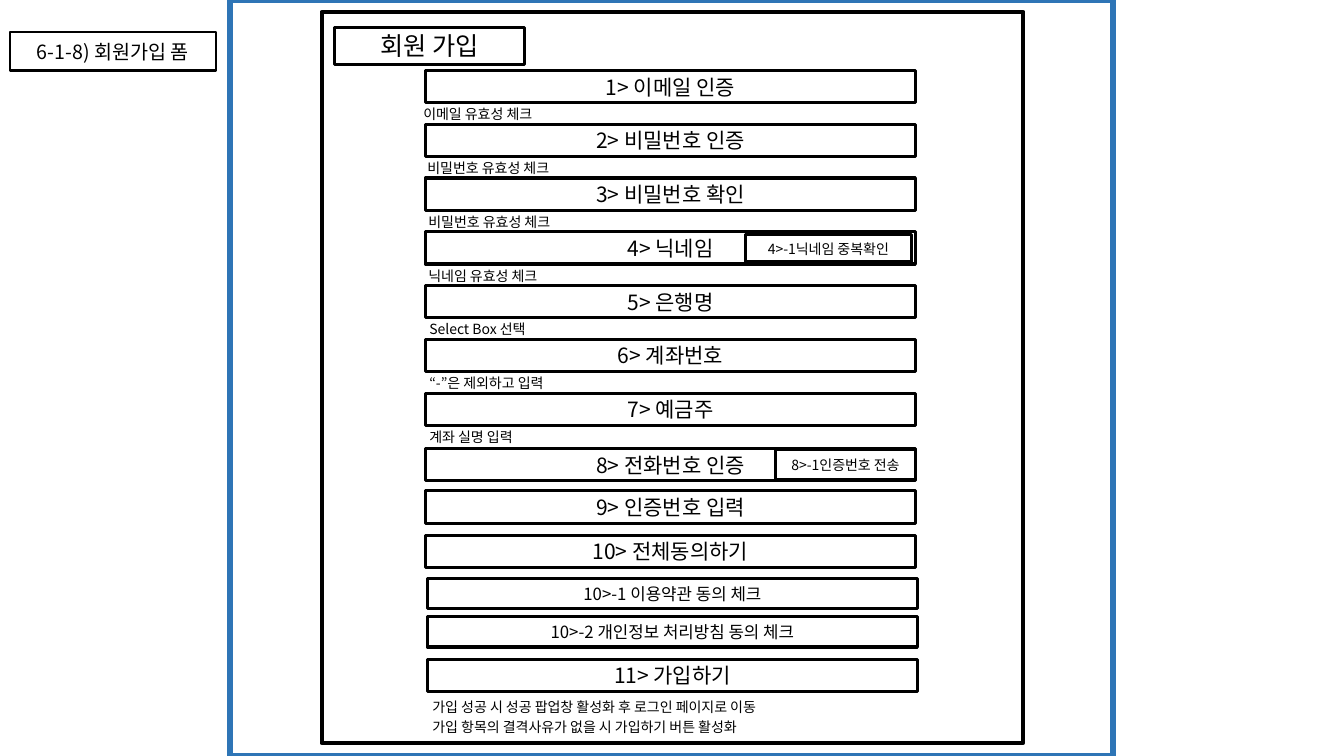
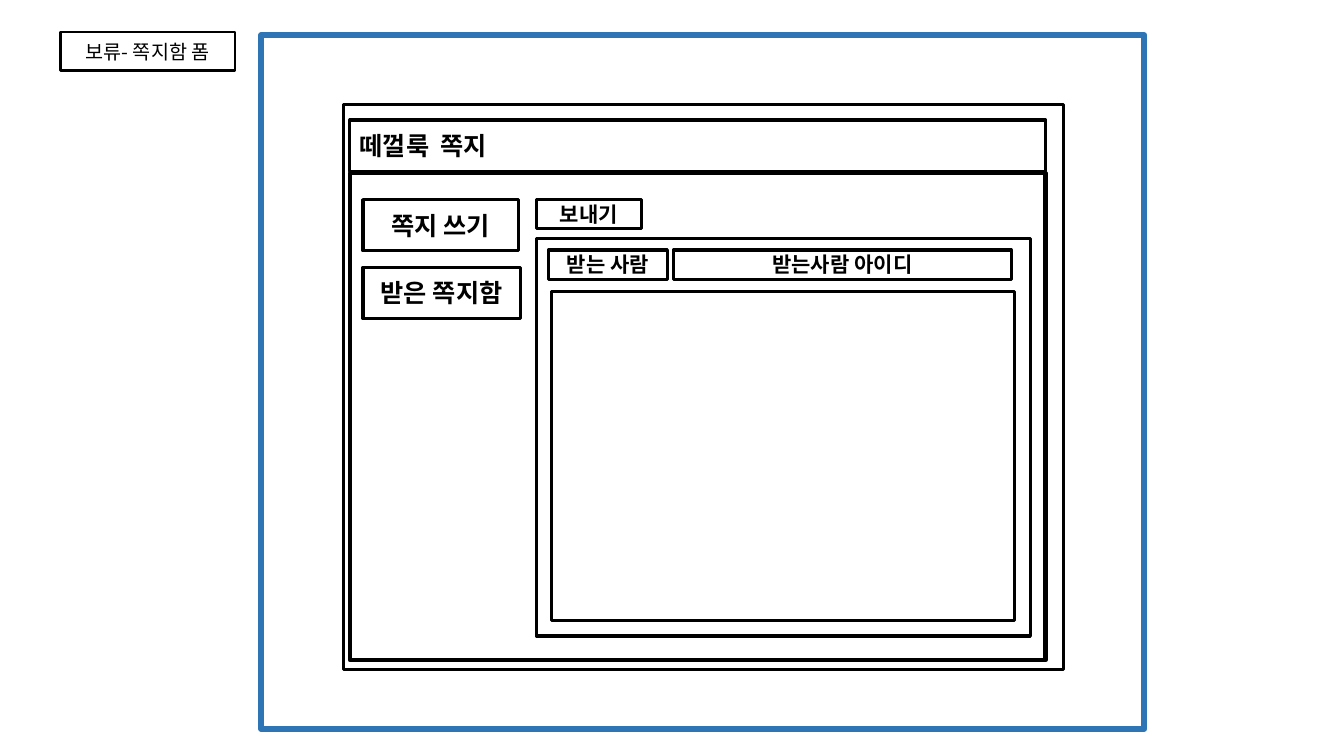
from lxml.etree import SubElement
from pptx import Presentation
from pptx.dml.color import RGBColor
from pptx.enum.shapes import MSO_SHAPE
from pptx.enum.text import MSO_ANCHOR, MSO_AUTO_SIZE, PP_ALIGN
from pptx.oxml.ns import qn
from pptx.util import Inches, Pt

FONT = "Noto Sans CJK KR"
BLACK, WHITE, BLUE = "000000", "FFFFFF", "2E75B6"

# Sign-up form: fields followed by a hint, spread evenly from FIRST_TOP to LAST_TOP
FIELD_LEFT, FIELD_WIDTH, FIELD_HEIGHT = 4.22, 4.86, 0.32
FIRST_TOP, LAST_TOP = 0.7, 3.9
HINT_OFFSET, HINT_HEIGHT = 0.3, 0.27
HINTED_FIELDS = [
    # label, hint, hint left, hint width
    ("1> 이메일 인증", "이메일 유효성 체크", 4.1, 1.5),
    ("2> 비밀번호 인증", "비밀번호 유효성 체크", 4.14, 1.65),
    ("3> 비밀번호 확인", "비밀번호 유효성 체크", 4.15, 1.65),
    ("4> 닉네임", "닉네임 유효성 체크", 4.15, 1.65),
    ("5> 은행명", "Select Box 선택", 4.16, 1.24),
    ("6> 계좌번호", "“-”은 제외하고 입력", 4.16, 1.56),
    ("7> 예금주", "계좌 실명 입력", 4.16, 1.19),
]
PLAIN_FIELDS = [
    # label, left, top, height, text size
    ("8> 전화번호 인증", 4.22, 4.45, 0.32, 15),
    ("9> 인증번호 입력", 4.22, 4.87, 0.32, 15),
    ("10> 전체동의하기", 4.22, 5.31, 0.32, 15),
    ("10>-1 이용약관 동의 체크", 4.24, 5.74, 0.3, 12),
    ("10>-2 개인정보 처리방침 동의 체크", 4.24, 6.12, 0.3, 12),
    ("11> 가입하기", 4.24, 6.54, 0.32, 15),
]
FIELD_BUTTONS = [
    ("4>-1닉네임 중복확인", (7.39, 2.33, 1.65, 0.27)),
    ("8>-1인증번호 전송", (7.69, 4.46, 1.39, 0.3)),
]
SIGN_UP_NOTES = [
    "가입 성공 시 성공 팝업창 활성화 후 로그인 페이지로 이동",
    "가입 항목의 결격사유가 없을 시 가입하기 버튼 활성화",
]
NOTE_LEFT, NOTE_TOP, NOTE_PITCH, NOTE_WIDTH = 4.19, 6.88, 0.2, 4.92

# Message box: label, (left, top, width, height), text size, line width, alignment
MESSAGE_PANELS = [
    ("", (3.41, 1.04, 7.14, 5.6), 18, 2.25, PP_ALIGN.CENTER),
    ("떼껄룩  쪽지", (3.47, 1.19, 6.9, 0.51), 18, 2.25, PP_ALIGN.LEFT),
    ("", (3.47, 1.72, 6.9, 4.83), 18, 3, PP_ALIGN.CENTER),
    ("쪽지 쓰기", (3.6, 1.98, 1.54, 0.51), 18, 2.25, PP_ALIGN.CENTER),
    ("받은 쪽지함", (3.6, 2.65, 1.56, 0.51), 18, 2.25, PP_ALIGN.CENTER),
    ("", (5.32, 2.37, 4.9, 3.94), 18, 2.25, PP_ALIGN.CENTER),
    ("보내기", (5.32, 1.98, 1.04, 0.29), 15, 2.25, PP_ALIGN.CENTER),
    ("받는 사람", (5.44, 2.48, 1.18, 0.29), 15, 2.25, PP_ALIGN.CENTER),
    ("받는사람 아이디", (6.68, 2.48, 3.35, 0.29), 15, 2.25, PP_ALIGN.CENTER),
    ("", (5.47, 2.89, 4.59, 3.27), 15, 2.25, PP_ALIGN.CENTER),
]


def color(value):
    return RGBColor.from_string(value)


def write(shape, text, size, align, bold=False):
    shape.text_frame.word_wrap = True
    paragraph = shape.text_frame.paragraphs[0]
    paragraph.alignment = align
    run = paragraph.add_run()
    run.text = text
    run.font.size = Pt(size)
    run.font.bold = bold
    run.font.color.rgb = color(BLACK)
    run.font.name = FONT
    # Hangul takes the East Asian typeface
    SubElement(run.font._element, qn("a:ea"), typeface=FONT)


def add_box(slide, area, text="", size=15, line_width=2.25, line=BLACK,
            align=PP_ALIGN.CENTER, bold=False):
    shape = slide.shapes.add_shape(MSO_SHAPE.RECTANGLE, *map(Inches, area))
    shape.shadow.inherit = False
    shape.fill.solid()
    shape.fill.fore_color.rgb = color(WHITE)
    shape.line.color.rgb = color(line)
    shape.line.width = Pt(line_width)
    shape.text_frame.vertical_anchor = MSO_ANCHOR.MIDDLE
    if text:
        write(shape, text, size, align, bold)


def add_hint(slide, text, left, top, width):
    shape = slide.shapes.add_textbox(
        *map(Inches, (left, top, width, HINT_HEIGHT)))
    write(shape, text, 10, PP_ALIGN.LEFT)
    shape.text_frame.auto_size = MSO_AUTO_SIZE.SHAPE_TO_FIT_TEXT


def add_form_slide(presentation, name, name_area, page_area):
    """Add a slide with its name tag and the blue page frame."""
    slide = presentation.slides.add_slide(presentation.slide_layouts[6])
    add_box(slide, page_area, line_width=4.5, line=BLUE)
    add_box(slide, name_area, name, size=14, line_width=1.5)
    return slide


def build_sign_up(presentation):
    slide = add_form_slide(presentation, "6-1-8) 회원가입 폼",
                           (0.1, 0.32, 2.04, 0.38), (2.28, 0, 8.76, 7.5))
    add_box(slide, (3.19, 0.12, 6.96, 7.25), line_width=3)
    add_box(slide, (3.32, 0.27, 1.88, 0.37), "회원 가입", size=18)

    pitch = (LAST_TOP - FIRST_TOP) / (len(HINTED_FIELDS) - 1)
    tops = [FIRST_TOP + index * pitch for index in range(len(HINTED_FIELDS))]
    for top, (label, *_) in zip(tops, HINTED_FIELDS):
        add_box(slide, (FIELD_LEFT, top, FIELD_WIDTH, FIELD_HEIGHT), label)
    for label, left, top, height, size in PLAIN_FIELDS:
        add_box(slide, (left, top, FIELD_WIDTH, height), label, size)
    for label, area in FIELD_BUTTONS:
        add_box(slide, area, label, size=10)
    for top, (_, hint, left, width) in zip(tops, HINTED_FIELDS):
        add_hint(slide, hint, left, top + HINT_OFFSET, width)
    for index, note in enumerate(SIGN_UP_NOTES):
        add_hint(slide, note, NOTE_LEFT, NOTE_TOP + index * NOTE_PITCH, NOTE_WIDTH)


def build_message_box(presentation):
    slide = add_form_slide(presentation, "보류- 쪽지함 폼",
                           (0.6, 0.32, 1.73, 0.38), (2.59, 0.35, 8.76, 6.88))
    for label, area, size, line_width, align in MESSAGE_PANELS:
        add_box(slide, area, label, size, line_width, align=align, bold=True)


def main():
    presentation = Presentation()
    presentation.slide_width = Inches(13.33)
    presentation.slide_height = Inches(7.5)
    build_sign_up(presentation)
    build_message_box(presentation)
    presentation.save("out.pptx")


if __name__ == "__main__":
    main()
